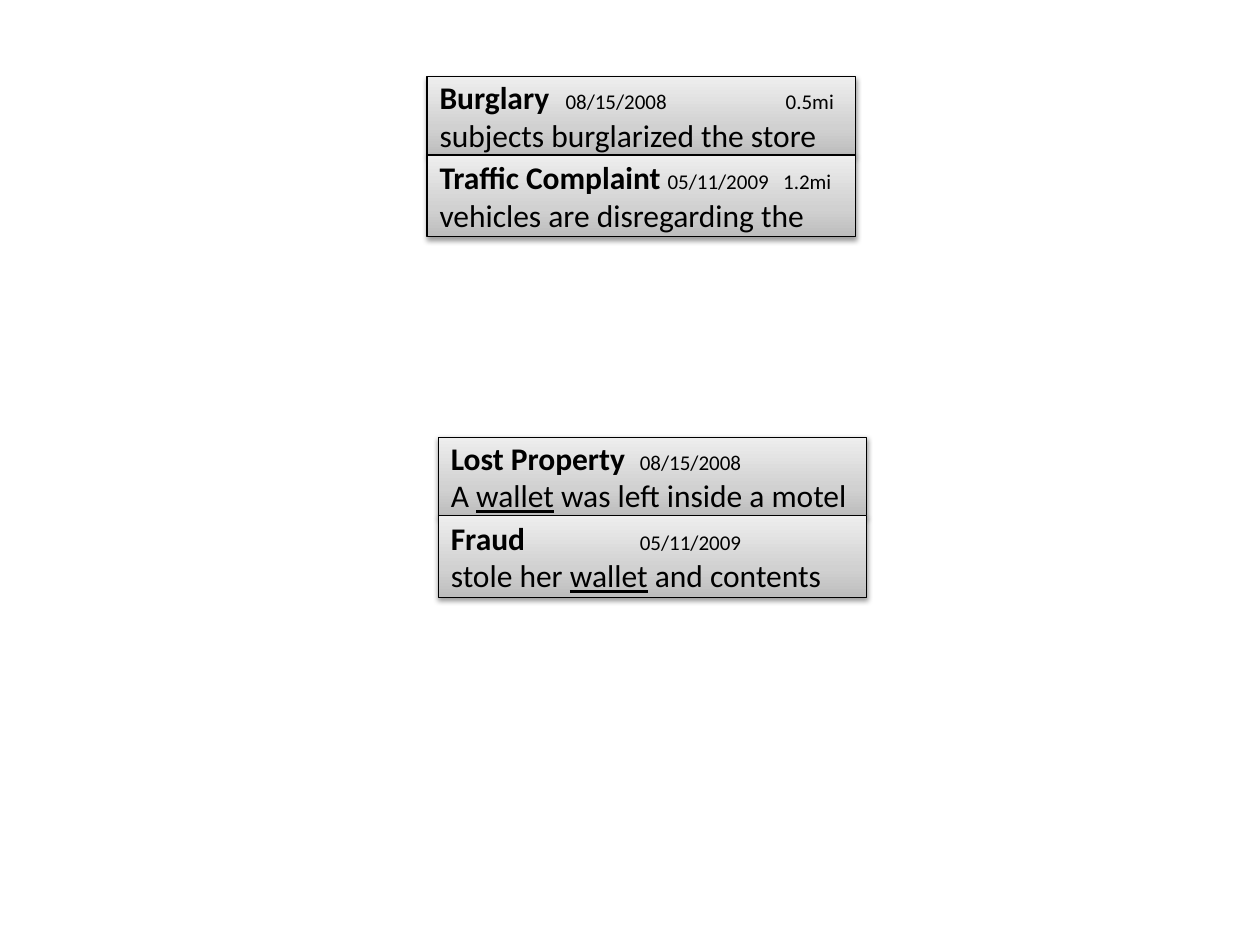
from copy import deepcopy

from lxml import etree
from pptx import Presentation
from pptx.dml.color import RGBColor
from pptx.enum.shapes import MSO_SHAPE
from pptx.enum.text import MSO_ANCHOR, PP_ALIGN
from pptx.oxml.ns import qn
from pptx.util import Inches, Pt

RECTANGLE = MSO_SHAPE.RECTANGLE
MIDDLE = MSO_ANCHOR.MIDDLE
LEFT = PP_ALIGN.LEFT

COLORS = {"ink": "000000", "dark": "BDBDBD", "mid": "D1D1D1", "light": "EEEEEE"}
GRADIENT = [(0, "dark"), (0.35, "mid"), (1, "light")]
CARD_WIDTH = 3.4
CARD_HEIGHTS = (0.62, 0.65)


def color(name):
    return RGBColor.from_string(COLORS[name])


class CardSlide:
    """Holds the text style and the current slide."""

    font_name = "Calibri"
    text_size = Pt(18)
    detail_size = Pt(12)

    def __init__(self, deck):
        self.slide = deck.slides.add_slide(deck.slide_layouts[6])

    def shade(self, box):
        """Grey gradient, dark at the bottom."""
        box.fill.gradient()
        box.fill.gradient_angle = 90
        stop_list = box._element.spPr.find(".//" + qn("a:gsLst"))
        stop_list.append(deepcopy(stop_list[-1]))
        for stop, (position, name) in zip(box.fill.gradient_stops, GRADIENT):
            stop.position = position
            stop.color.rgb = color(name)

    def drop_shadow(self, box):
        box.shadow.inherit = False
        effects = box._element.spPr.find(qn("a:effectLst"))
        shadow = etree.SubElement(effects, qn("a:outerShdw"), blurRad=str(Pt(3.1)),
                                  dist=str(Pt(1.6)), dir="5400000", rotWithShape="0")
        tint = etree.SubElement(shadow, qn("a:srgbClr"), val=COLORS["ink"])
        etree.SubElement(tint, qn("a:alpha"), val="38000")

    def tab_stops(self, para, stops):
        """Tab stops come before the default font in the paragraph properties."""
        tabs = etree.Element(qn("a:tabLst"))
        for position, align in stops:
            etree.SubElement(tabs, qn("a:tab"), pos=str(Inches(position)), algn=align)
        para._p.get_or_add_pPr().insert(0, tabs)

    def style(self, para):
        para.alignment = LEFT
        para.font.name = self.font_name
        para.font.size = self.text_size
        para.font.color.rgb = color("ink")

    def span(self, para, text, size=None, bold=None, underline=None):
        span = para.add_run()
        span.text = text
        span.font.size = size
        span.font.bold = bold
        span.font.underline = underline

    def card(self, shapes, left, top, height, heading, details, stops, summary):
        box = shapes.add_shape(RECTANGLE, Inches(left), Inches(top),
                               Inches(CARD_WIDTH), Inches(height))
        self.shade(box)
        box.line.color.rgb = color("ink")
        box.line.width = Pt(0.75)
        self.drop_shadow(box)

        frame = box.text_frame
        frame.word_wrap = True
        frame.vertical_anchor = MIDDLE
        title = frame.paragraphs[0]
        body = frame.add_paragraph()
        for para in (title, body):
            self.style(para)
        self.tab_stops(title, stops)
        self.span(title, heading, bold=True)
        for detail in details:
            self.span(title, "\t" + detail, size=self.detail_size)
        # The matched word, at odd places, is underlined
        for index, part in enumerate(summary):
            self.span(body, part, underline=True if index % 2 else None)

    def stack(self, shapes, left, top, cards):
        for height, card in zip(CARD_HEIGHTS, cards):
            self.card(shapes, left, top, height, *card)
            top += height


def main():
    deck = Presentation()
    deck.slide_width, deck.slide_height = Inches(10), Inches(7.5)
    page = CardSlide(deck)

    # Nearby reports, grouped, with distances
    nearby = page.slide.shapes.add_group_shape()
    page.stack(nearby.shapes, 3.39, 0.61, [
        ("Burglary", ["08/15/2008", "0.5mi"], [(1, "l"), (3.13, "r")],
         ["subjects burglarized the store"]),
        ("Traffic Complaint", ["05/11/2009", "1.2mi"], [(1.81, "l"), (3.11, "r")],
         ["vehicles are disregarding the"]),
    ])

    # Reports that share a word
    date_stop = [(1.5, "l")]
    page.stack(page.slide.shapes, 3.48, 3.47, [
        ("Lost Property", ["08/15/2008"], date_stop,
         ["A ", "wallet", " was left inside a motel"]),
        ("Fraud", ["05/11/2009"], date_stop,
         ["stole her ", "wallet", " and contents"]),
    ])

    deck.save("out.pptx")


if __name__ == "__main__":
    main()
